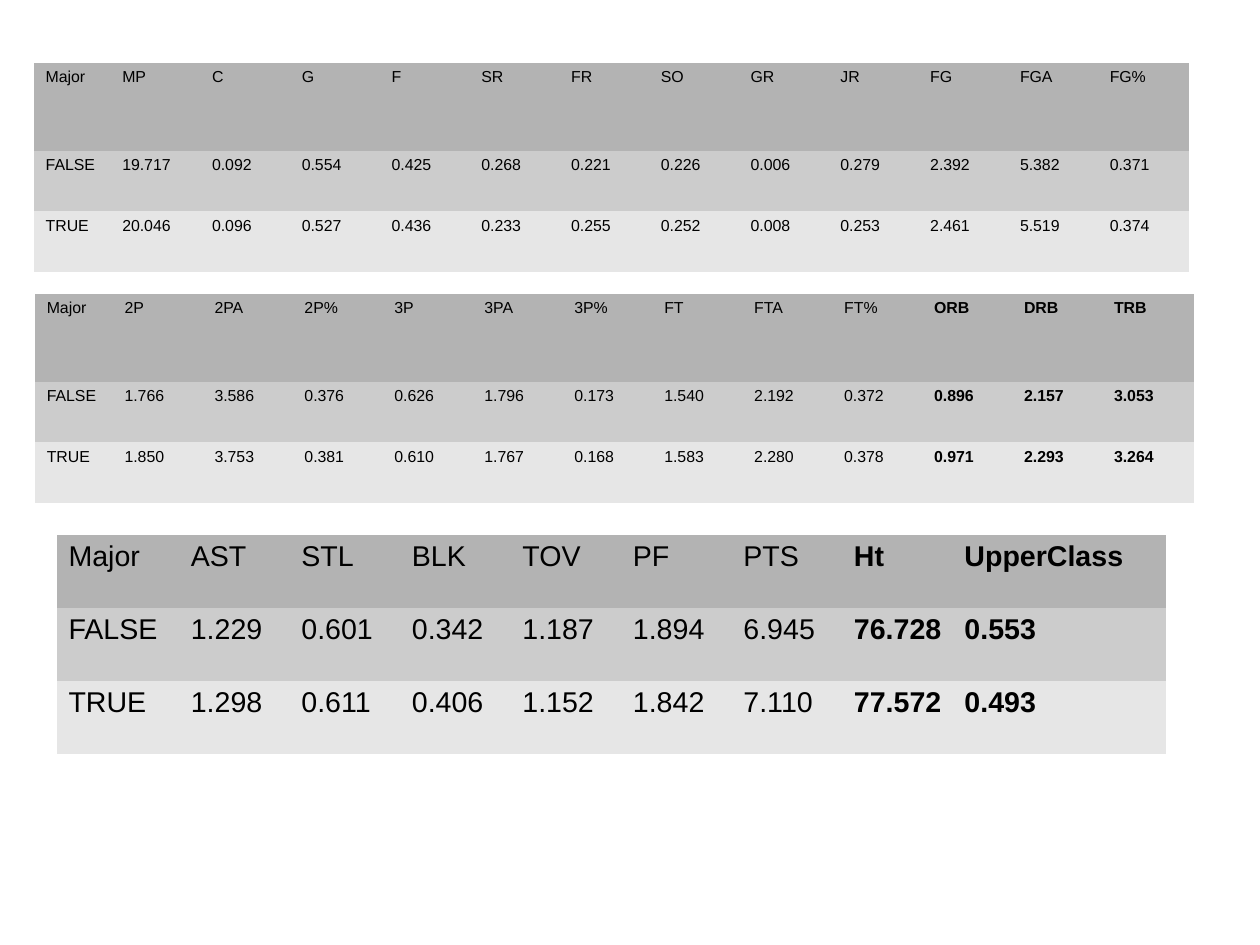
from dataclasses import dataclass

from pptx import Presentation
from pptx.dml.color import RGBColor as RGB
from pptx.oxml.ns import qn
from pptx.util import Cm, Inches, Pt


@dataclass(frozen=True)
class Theme:
    font: str = "Arial"
    text: str = "000000"
    row_fills: tuple = ("B3B3B3", "CCCCCC", "E6E6E6")
    small: int = 10
    large: int = 18
    plain_style: str = "{2D5ABB26-0587-4C30-8999-92F81FD0307C}"


theme = Theme()

# Player averages by Major; columns from bold_from onwards are emphasised
stat_groups = [
    dict(
        at=(0.3, 0.55), width=10.1, first=0.67, last=0.79,
        heights=(0.77, 0.53, 0.53), size=theme.small, bold_from=13,
        rows=[
            "Major MP C G F SR FR SO GR JR FG FGA FG%",
            "FALSE 19.717 0.092 0.554 0.425 0.268 0.221 0.226 0.006 0.279 2.392 5.382 0.371",
            "TRUE 20.046 0.096 0.527 0.436 0.233 0.255 0.252 0.008 0.253 2.461 5.519 0.374",
        ],
    ),
    dict(
        at=(0.31, 2.57), width=10.14, first=0.68, last=0.8,
        heights=(0.77, 0.53, 0.53), size=theme.small, bold_from=10,
        rows=[
            "Major 2P 2PA 2P% 3P 3PA 3P% FT FTA FT% ORB DRB TRB",
            "FALSE 1.766 3.586 0.376 0.626 1.796 0.173 1.540 2.192 0.372 0.896 2.157 3.053",
            "TRUE 1.850 3.753 0.381 0.610 1.767 0.168 1.583 2.280 0.378 0.971 2.293 3.264",
        ],
    ),
    dict(
        at=(0.5, 4.68), width=9.7, first=1.07, last=1.86,
        heights=(0.64, 0.64, 0.64), size=theme.large, bold_from=7,
        rows=[
            "Major AST STL BLK TOV PF PTS Ht UpperClass",
            "FALSE 1.229 0.601 0.342 1.187 1.894 6.945 76.728 0.553",
            "TRUE 1.298 0.611 0.406 1.152 1.842 7.110 77.572 0.493",
        ],
    ),
]

# Slide in its metric format
deck = Presentation()
deck.slide_width = Cm(28)
deck.slide_height = Cm(21)
slide = deck.slides.add_slide(deck.slide_layouts[6])

for group in stat_groups:
    # Table frame without style borders
    records = [row.split() for row in group["rows"]]
    count = len(records[0])
    left, top = group["at"]
    frame = slide.shapes.add_table(
        len(records), count, Inches(left), Inches(top),
        Inches(group["width"]), Inches(sum(group["heights"])))
    frame.element.find(".//" + qn("a:tableStyleId")).text = theme.plain_style
    stats = frame.table
    stats.first_row = stats.horz_banding = False

    # Equal columns between the first and the last
    middle = (group["width"] - group["first"] - group["last"]) / (count - 2)
    widths = [group["first"]] + [middle] * (count - 2) + [group["last"]]
    for column, width in zip(stats.columns, widths):
        column.width = Inches(width)

    # Rows and values
    for r, (record, height) in enumerate(zip(records, group["heights"])):
        stats.rows[r].height = Inches(height)
        for c, value in enumerate(record):
            cell = stats.cell(r, c)
            cell.fill.solid()
            cell.fill.fore_color.rgb = RGB.from_string(theme.row_fills[r])
            run = cell.text_frame.paragraphs[0].add_run()
            run.text = value
            run.font.color.rgb = RGB.from_string(theme.text)
            text_format = {"name": theme.font, "size": Pt(group["size"]),
                           "bold": c >= group["bold_from"]}
            for key, setting in text_format.items():
                setattr(run.font, key, setting)

deck.save("out.pptx")
